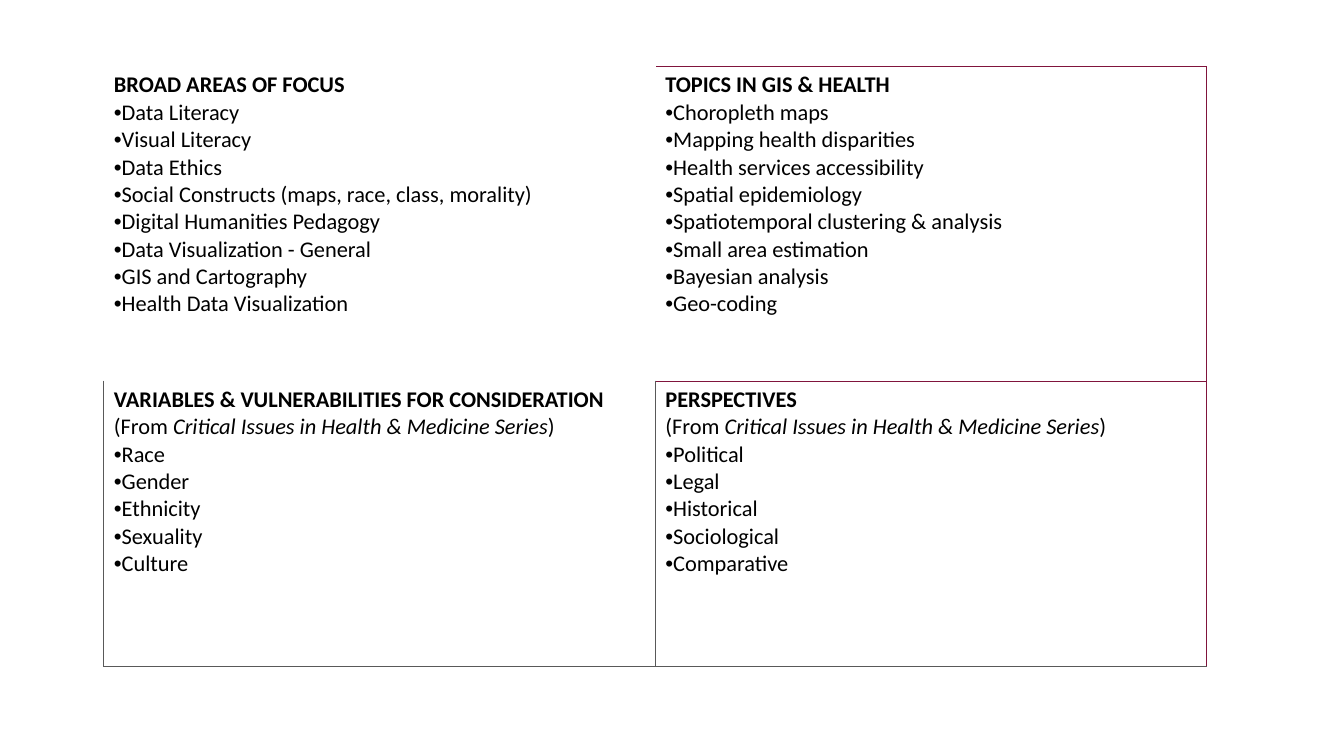
from lxml.etree import SubElement
from pptx import Presentation
from pptx.dml.color import RGBColor
from pptx.oxml.ns import qn
from pptx.util import Inches, Pt

BLACK = RGBColor(0x00, 0x00, 0x00)
WHITE = RGBColor(0xFF, 0xFF, 0xFF)
MAROON = RGBColor(0x80, 0x14, 0x3C)
GRAY = RGBColor(0x59, 0x59, 0x59)

SERIES = "Critical Issues in Health & Medicine Series"
# Each cell: heading, series cited under it, bullets, borders (left, right, top, bottom)
CELLS = [
    [
        ("BROAD AREAS OF FOCUS", None,
         ["Data Literacy", "Visual Literacy", "Data Ethics",
          "Social Constructs (maps, race, class, morality)",
          "Digital Humanities Pedagogy", "Data Visualization - General",
          "GIS and Cartography", "Health Data Visualization"],
         (WHITE, WHITE, WHITE, WHITE)),
        ("TOPICS IN GIS & HEALTH", None,
         ["Choropleth maps", "Mapping health disparities",
          "Health services accessibility", "Spatial epidemiology",
          "Spatiotemporal clustering & analysis", "Small area estimation",
          "Bayesian analysis", "Geo-coding"],
         (WHITE, MAROON, MAROON, MAROON)),
    ],
    [
        ("VARIABLES & VULNERABILITIES FOR CONSIDERATION", SERIES,
         ["Race", "Gender", "Ethnicity", "Sexuality", "Culture"],
         (GRAY, GRAY, WHITE, GRAY)),
        ("PERSPECTIVES", SERIES,
         ["Political", "Legal", "Historical", "Sociological", "Comparative"],
         (GRAY, MAROON, MAROON, GRAY)),
    ],
]
LEFT, TOP = 1.03, 0.66
COLUMN_WIDTHS = [5.47, 5.47]
ROW_HEIGHTS = [3.12, 2.83]


def add_run(paragraph, text, bold=False, italic=False):
    run = paragraph.add_run()
    run.text = text
    run.font.name = "Calibri"
    run.font.size = Pt(16)
    run.font.bold = bold
    run.font.italic = italic
    run.font.color.rgb = BLACK


def add_bullet(text_frame, text):
    paragraph = text_frame.add_paragraph()
    properties = paragraph._p.get_or_add_pPr()
    properties.set("marL", "0")
    properties.set("indent", "0")
    SubElement(properties, qn("a:buFont"), typeface="Arial")
    SubElement(properties, qn("a:buChar"), char="•")
    add_run(paragraph, text)


def set_borders(cell, colors):
    """Draw the four cell edges, placed before the fill as the schema requires."""
    properties = cell._tc.get_or_add_tcPr()
    for index, (side, color) in enumerate(zip("LRTB", colors)):
        line = SubElement(properties, qn(f"a:ln{side}"), w=str(Pt(0.75)))
        fill = SubElement(line, qn("a:solidFill"))
        SubElement(fill, qn("a:srgbClr"), val=str(color))
        properties.insert(index, line)


def fill_cell(cell, heading, series, bullets, borders):
    cell.fill.background()
    set_borders(cell, borders)
    text_frame = cell.text_frame
    paragraph = text_frame.paragraphs[0]
    add_run(paragraph, heading, bold=True)
    if series:
        paragraph.add_line_break()
        add_run(paragraph, "(From ")
        add_run(paragraph, series, italic=True)
        add_run(paragraph, ")")
    for bullet in bullets:
        add_bullet(text_frame, bullet)


def main():
    presentation = Presentation()
    presentation.slide_width = Inches(13.33)
    presentation.slide_height = Inches(7.5)
    slide = presentation.slides.add_slide(presentation.slide_layouts[6])

    table = slide.shapes.add_table(
        len(ROW_HEIGHTS), len(COLUMN_WIDTHS), Inches(LEFT), Inches(TOP),
        Inches(sum(COLUMN_WIDTHS)), Inches(sum(ROW_HEIGHTS))).table
    table.first_row = False
    table.horz_banding = False
    for column, width in zip(table.columns, COLUMN_WIDTHS):
        column.width = Inches(width)
    for row, height, contents in zip(table.rows, ROW_HEIGHTS, CELLS):
        row.height = Inches(height)
        for cell, content in zip(row.cells, contents):
            fill_cell(cell, *content)

    presentation.save("out.pptx")


if __name__ == "__main__":
    main()
